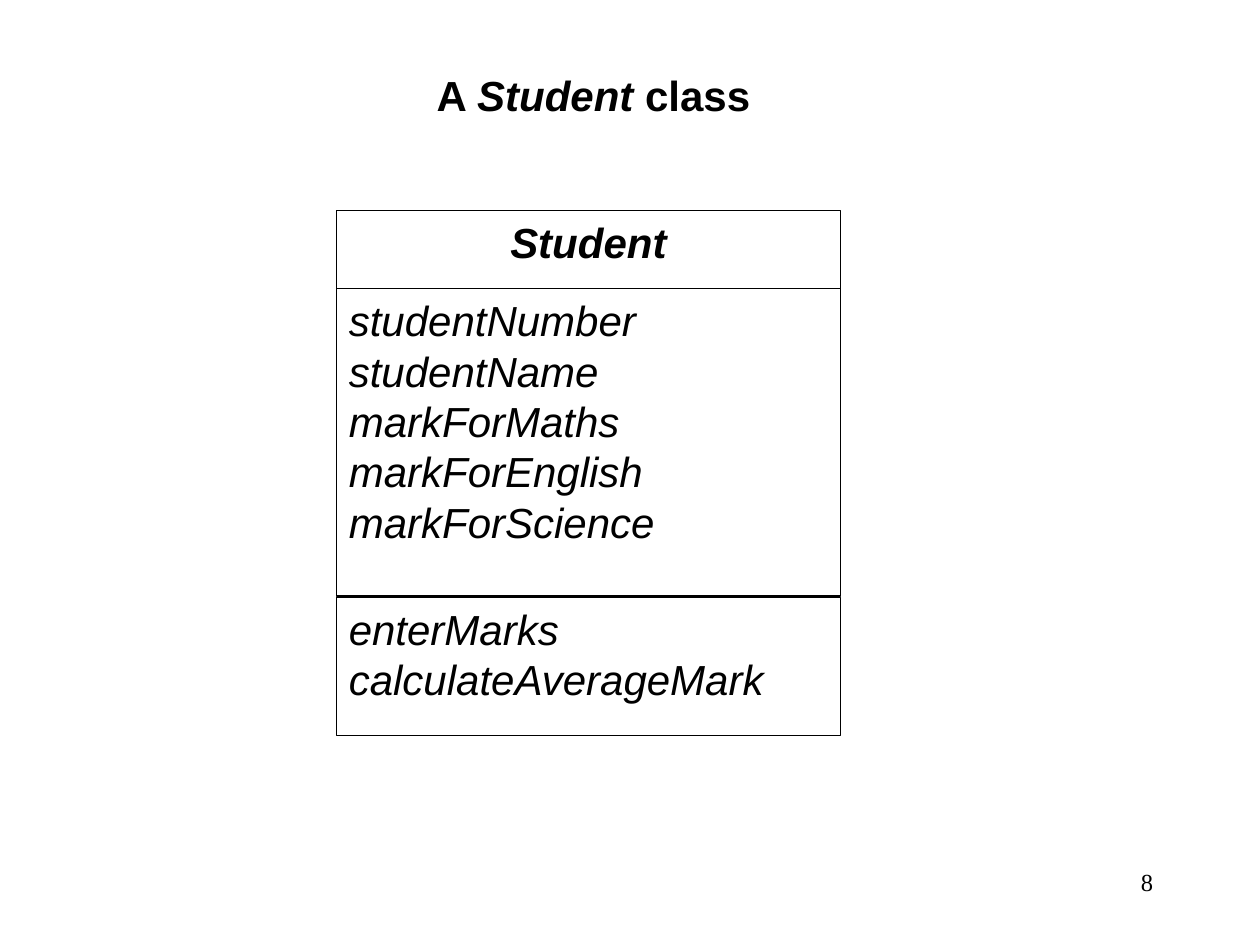
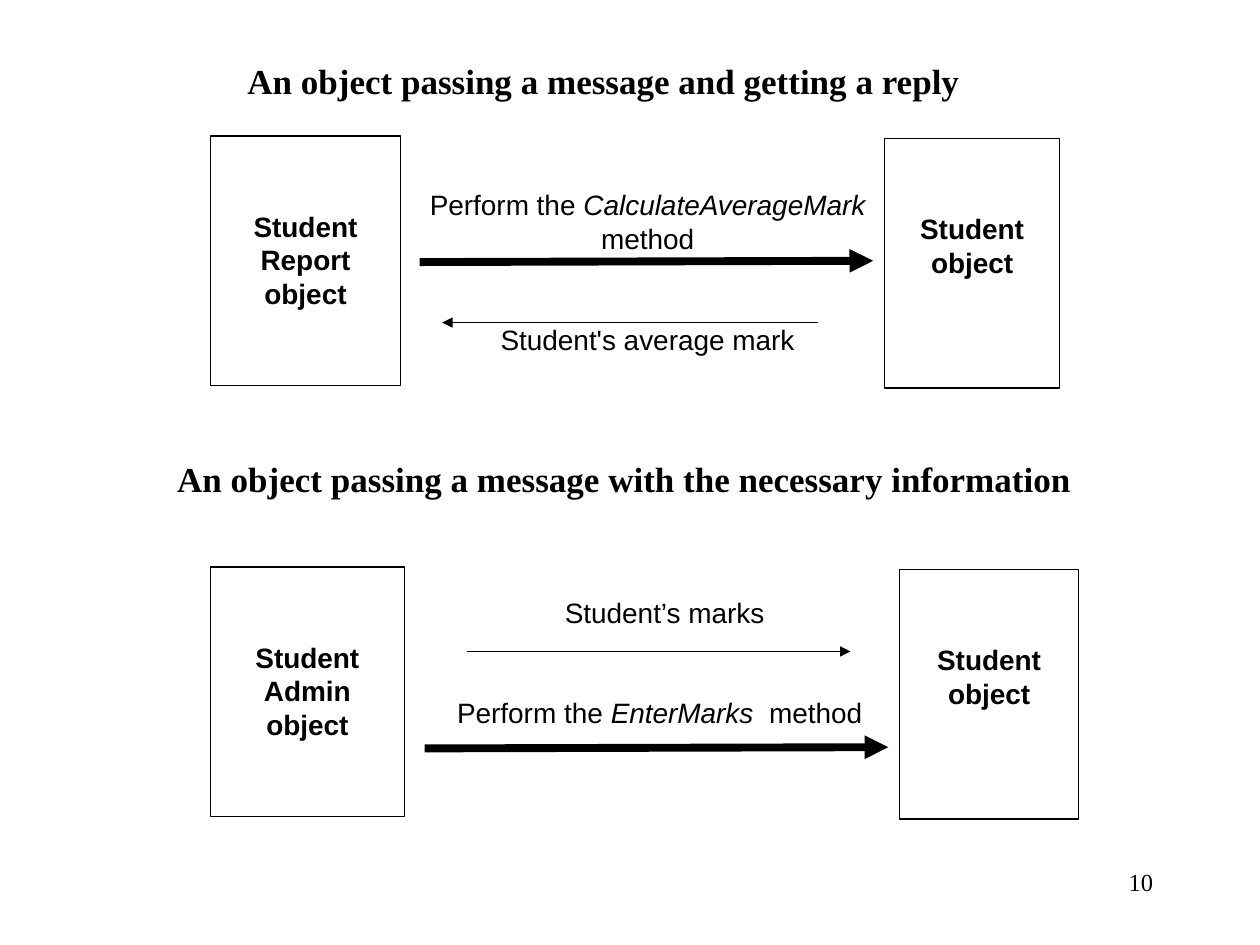
import pptx
import pptx.dml.color
import pptx.enum.shapes
import pptx.enum.text
import pptx.oxml.ns
import pptx.util
from lxml import etree

Inches = pptx.util.Inches
Pt = pptx.util.Pt
ALIGN = pptx.enum.text.PP_ALIGN
BLACK = "000000"
WHITE = "FFFFFF"
SANS = "Arial"
SERIF = "Times New Roman"


def color(hex_string):
    return pptx.dml.color.RGBColor.from_string(hex_string)


def add_text(slide, place, lines, size, font=SANS, bold=False, italic=False,
             align=ALIGN.CENTER, framed=False, inset_top=0.05):
    """Add a text box or framed rectangle; *stars* flip italics within a line."""
    place = [Inches(value) for value in place]
    if framed:
        shape = slide.shapes.add_shape(pptx.enum.shapes.MSO_SHAPE.RECTANGLE, *place)
        shape.shadow.inherit = False
        shape.fill.solid()
        shape.fill.fore_color.rgb = color(WHITE)
        shape.line.color.rgb = color(BLACK)
        shape.line.width = Pt(0.75)
    else:
        shape = slide.shapes.add_textbox(*place)
    frame = shape.text_frame
    frame.word_wrap = True
    frame.vertical_anchor = pptx.enum.text.MSO_ANCHOR.TOP
    frame.margin_left = frame.margin_right = Inches(0.1)
    frame.margin_top = Inches(inset_top)
    frame.margin_bottom = Inches(0.05)
    for index, line in enumerate(lines):
        paragraph = frame.paragraphs[0] if index == 0 else frame.add_paragraph()
        paragraph.alignment = align
        paragraph.font.name = font
        paragraph.font.size = Pt(size)
        paragraph.font.bold = bold
        paragraph.font.italic = italic
        paragraph.font.color.rgb = color(BLACK)
        for part, text in enumerate(line.split("*")):
            run = paragraph.add_run()
            run.text = text
            if part % 2:
                run.font.italic = not italic


presentation = pptx.Presentation()
presentation.slide_width = Inches(10)
presentation.slide_height = Inches(7.5)
blank_layout = presentation.slide_layouts[6]
class_slide = presentation.slides.add_slide(blank_layout)
message_slide = presentation.slides.add_slide(blank_layout)

for slide, number in ((class_slide, "8"), (message_slide, "10")):
    add_text(slide, (7.17, 6.83, 2.08, 0.5), [number], 14, SERIF, align=ALIGN.RIGHT)

# Class diagram: name, attributes and methods
add_text(class_slide, (0.5, 0.5, 8.42, 0.5), ["A *Student* class"], 24, bold=True)
attributes = ["studentNumber", "studentName", "markForMaths", "markForEnglish",
              "markForScience"]
methods = ["enterMarks", "calculateAverageMark"]
compartments = [
    (1.67, 0.64, ["Student"], True, ALIGN.CENTER),
    (2.29, 2.44, attributes, False, ALIGN.LEFT),
    (4.74, 1.1, methods, False, ALIGN.LEFT),
]
for top, height, lines, bold, align in compartments:
    add_text(class_slide, (2.67, top, 4, height), lines, 24, bold=bold, italic=True,
             align=align, framed=True)

# Message diagrams: headings, objects, arrows and arrow labels
headings = [
    ((1.25, 0.42, 7.08, 0.44), "An object passing a message and getting a reply"),
    ((1.08, 3.58, 7.75, 0.84), "An object passing a message with the necessary information"),
]
for place, heading in headings:
    add_text(message_slide, place, [heading], 20, SERIF, bold=True)

objects = [
    (1.67, 1.08, 1.51, ["Student", "Report", "object"]),
    (7.02, 1.1, 1.39, ["Student object"]),
    (1.67, 4.5, 1.54, ["Student", "Admin", "object"]),
    (7.14, 4.52, 1.42, ["Student", "object"]),
]
for left, top, width, lines in objects:
    add_text(message_slide, (left, top, width, 1.98), lines, 16, bold=True,
             framed=True, inset_top=0.58)

arrows = [
    (3.33, 2.08, 6.93, 2.07, 4.5),
    (6.49, 2.56, 3.51, 2.56, 0.75),
    (3.71, 5.17, 6.75, 5.17, 0.75),
    (3.37, 5.94, 7.05, 5.93, 4.5),
]
for *ends, weight in arrows:
    arrow = message_slide.shapes.add_connector(
        pptx.enum.shapes.MSO_CONNECTOR.STRAIGHT, *[Inches(value) for value in ends])
    arrow.line.color.rgb = color(BLACK)
    arrow.line.width = Pt(weight)
    etree.SubElement(arrow.line._get_or_add_ln(), pptx.oxml.ns.qn("a:tailEnd"),
                     type="triangle")
    etree.SubElement(arrow._element.spPr, pptx.oxml.ns.qn("a:effectLst"))

labels = [
    (3.24, 1.44, 3.8, "Perform the *CalculateAverageMark* method"),
    (3.24, 2.51, 3.8, "Student's average mark"),
    (3.33, 4.68, 3.89, "Student’s marks"),
    (3.29, 5.47, 3.89, "Perform the *EnterMarks * method"),
]
for left, top, width, label in labels:
    add_text(message_slide, (left, top, width, 0.45), [label], 16)

presentation.save("out.pptx")
